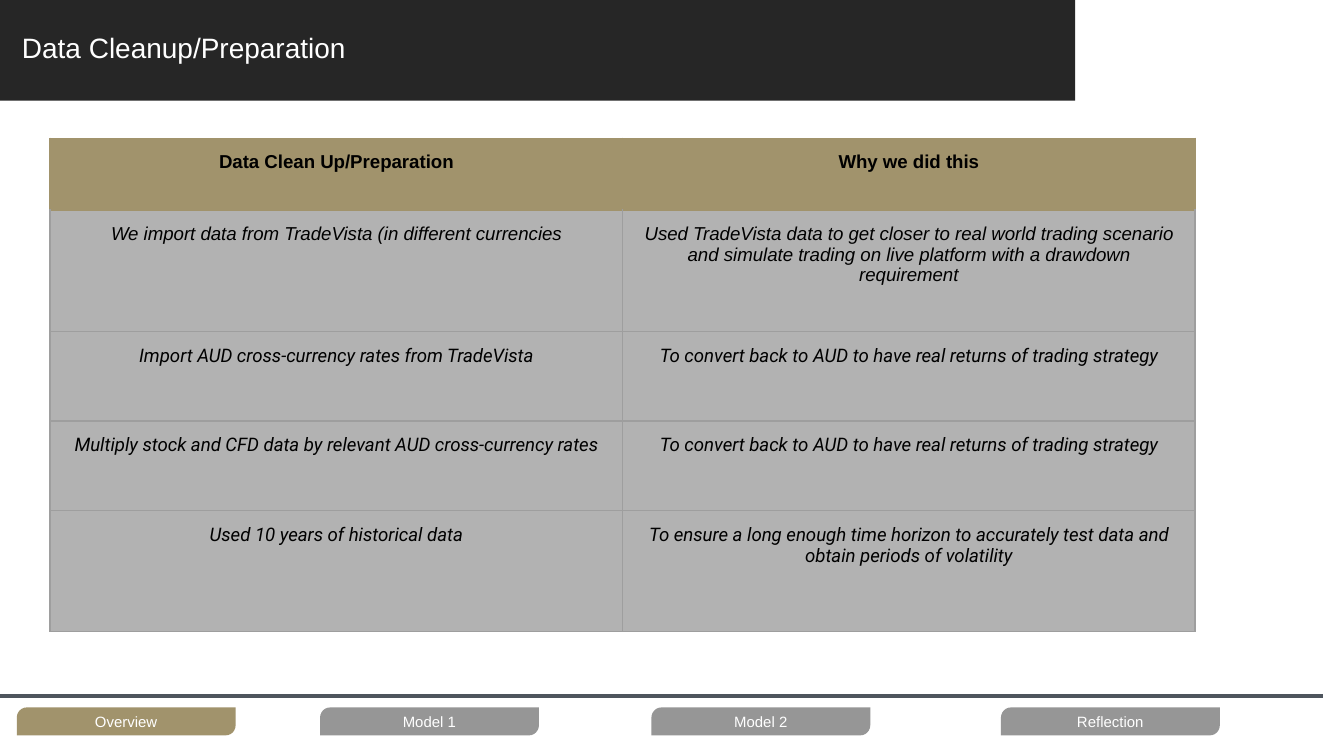
import pptx
import pptx.dml.color
import pptx.enum.shapes
import pptx.enum.text
import pptx.oxml.ns
import pptx.util
from lxml import etree

Pt = pptx.util.Pt
qn = pptx.oxml.ns.qn
SHAPES = pptx.enum.shapes.MSO_SHAPE
CENTER = pptx.enum.text.PP_ALIGN.CENTER
LEFT = pptx.enum.text.PP_ALIGN.LEFT
MIDDLE = pptx.enum.text.MSO_ANCHOR.MIDDLE

COLORS = {
    "banner": "262626", "rule": "4E555D", "gold": "A1936C", "tab": "969696",
    "cell": "B2B2B2", "border": "9E9E9E", "white": "FFFFFF", "black": "000000",
}
TABS = [("Overview", 9), ("Model 1", 171.5), ("Model 2", 349), ("Reflection", 536.25)]
ROW_HEIGHTS = [38.5, 65, 48, 48, 64.9]
ROWS = [
    ("Data Clean Up/Preparation", "Why we did this"),
    ("We import data from TradeVista (in different currencies",
     "Used TradeVista data to get closer to real world trading scenario and "
     "simulate trading on live platform with a drawdown requirement"),
    ("Import AUD cross-currency rates from TradeVista",
     "To convert back to AUD to have real returns of trading strategy"),
    ("Multiply stock and CFD data by relevant AUD cross-currency rates",
     "To convert back to AUD to have real returns of trading strategy"),
    ("Used 10 years of historical data",
     "To ensure a long enough time horizon to accurately test data and "
     "obtain periods of volatility"),
]


def rgb(name):
    return pptx.dml.color.RGBColor.from_string(COLORS[name])


def paint(target, name):
    target.fill.solid()
    target.fill.fore_color.rgb = rgb(name)


def write(frame, text, color, align, **font):
    para = frame.paragraphs[0]
    para.alignment = align
    span = para.add_run()
    span.text = text
    span.font.color.rgb = rgb(color)
    for name, value in font.items():
        setattr(span.font, name, value)
    return para


def set_margins(target, margin):
    for side in ("left", "right", "top", "bottom"):
        setattr(target, f"margin_{side}", Pt(margin))


def add_block(page, kind, box, color):
    """Add a flat preset shape without outline or shadow."""
    block = page.shapes.add_shape(kind, *map(Pt, box))
    block.shadow.inherit = False
    block.line.fill.background()
    paint(block, color)
    return block


def add_banner(page, box, title):
    left, top, width, height = box
    add_block(page, SHAPES.RECTANGLE, box, "banner")
    title_box = page.shapes.add_textbox(
        Pt(left + 9), Pt(top + 4.5), Pt(width - 31.5), Pt(height - 10.5))
    frame = title_box.text_frame
    frame.word_wrap = True
    frame.vertical_anchor = MIDDLE
    set_margins(frame, 2.75)
    para = write(frame, title, "white", LEFT, name="Arial", size=Pt(15))
    para.line_spacing = 0.9


def set_borders(cell, sides):
    """Draw the cell's borders; sides maps L, R, T, B to colour names."""
    properties = cell._tc.get_or_add_tcPr()
    for side, color in sides.items():
        line = etree.SubElement(properties, qn(f"a:ln{side}"), w=str(Pt(0.75)))
        fill = etree.SubElement(line, qn("a:solidFill"))
        etree.SubElement(fill, qn("a:srgbClr"), val=COLORS[color])


def add_steps_table(page, box):
    table = page.shapes.add_table(len(ROWS), 2, *map(Pt, box)).table
    table.first_row = table.horz_banding = False
    for column in table.columns:
        column.width = Pt(box[2] / 2)
    for index, (texts, height) in enumerate(zip(ROWS, ROW_HEIGHTS)):
        table.rows[index].height = Pt(height)
        header = index == 0
        edge = "gold" if header else "border"
        sides = dict.fromkeys("LRTB", edge)
        if index == 1:
            sides["T"] = "gold"
        for column, text in enumerate(texts):
            cell = table.cell(index, column)
            set_margins(cell, 7.2)
            set_borders(cell, sides)
            paint(cell, "gold" if header else "cell")
            write(cell.text_frame, text, "black", CENTER, size=Pt(10),
                  name="Arial" if index < 2 else "Roboto",
                  bold=header, italic=not header)


def add_navigation(page, box, active):
    left, top, width, height = box
    rule = page.shapes.add_connector(
        pptx.enum.shapes.MSO_CONNECTOR.STRAIGHT,
        Pt(left), Pt(top), Pt(left + width), Pt(top))
    rule.line.color.rgb = rgb("rule")
    rule.line.width = Pt(2.25)
    etree.SubElement(rule._element.spPr, qn("a:effectLst"))
    for label, offset in TABS:
        tab = add_block(page, SHAPES.ROUND_2_DIAG_RECTANGLE,
                        (left + offset, top + 6, 117.25, height - 6),
                        "gold" if label == active else "tab")
        tab.adjustments[0] = 0.36
        tab.text_frame.vertical_anchor = MIDDLE
        set_margins(tab.text_frame, 2)
        write(tab.text_frame, label, "white", CENTER, name="Arial", size=Pt(8))


def main():
    deck = pptx.Presentation()
    deck.slide_width, deck.slide_height = Pt(720), Pt(405)
    page = deck.slides.add_slide(deck.slide_layouts[6])
    add_banner(page, (0, 0, 576, 54), "Data Cleanup/Preparation")
    add_navigation(page, (0, 373, 708.5, 21), "Overview")
    add_steps_table(page, (26.75, 74, 613.5, sum(ROW_HEIGHTS)))
    deck.save("out.pptx")


if __name__ == "__main__":
    main()
